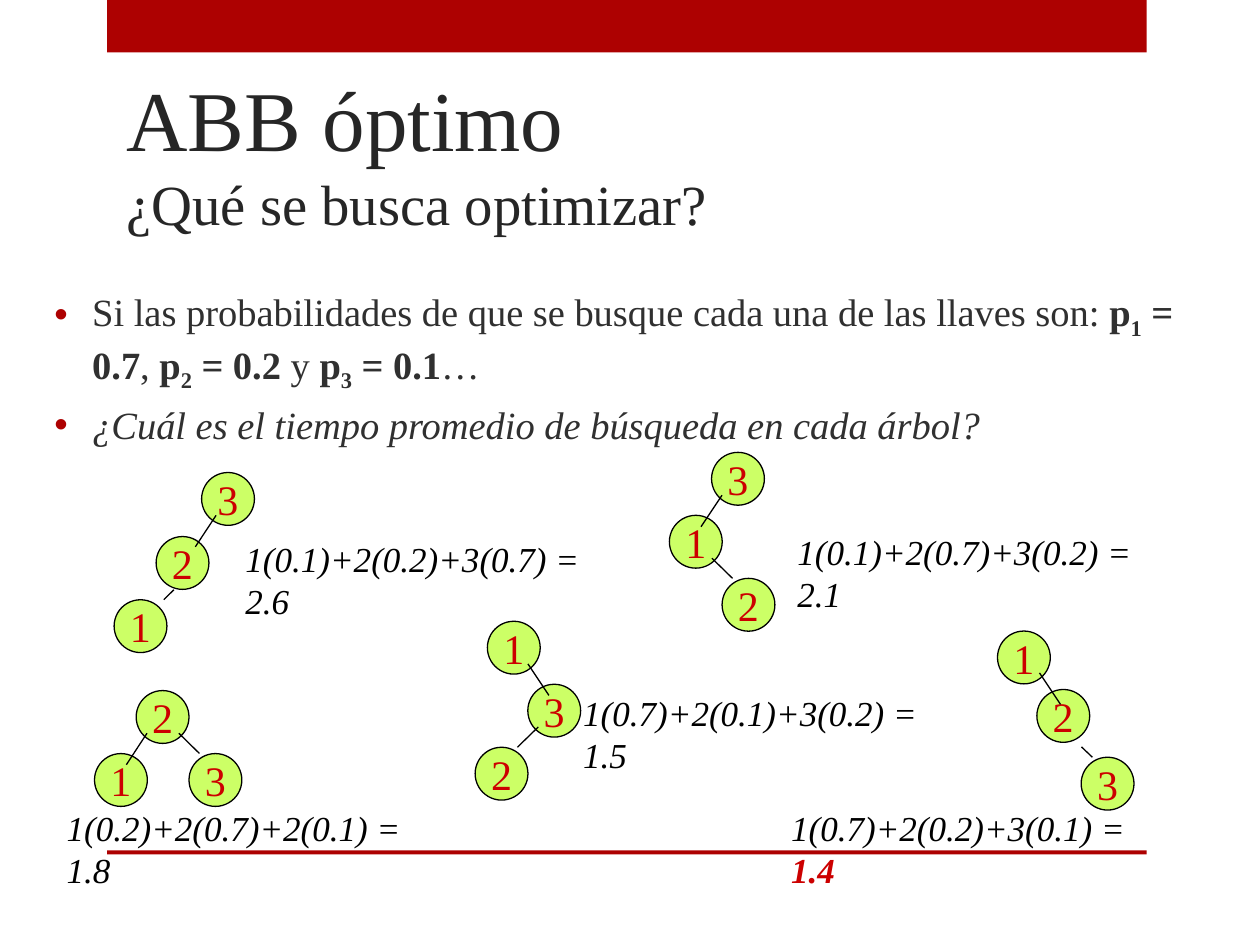
from typing import NamedTuple

from lxml import etree
from pptx import Presentation
from pptx import util as u
from pptx.dml.color import RGBColor
from pptx.enum import shapes, text
from pptx.oxml import ns
from pptx.text import text as t

Pt = u.Pt
FONT = "Times New Roman"
ACCENT = RGBColor(0xAD, 0x01, 0x01)
TITLE_COLOR = RGBColor(0x26, 0x26, 0x26)
BODY_COLOR = RGBColor(0x30, 0x30, 0x30)
NODE_FILL = RGBColor(0xCC, 0xFF, 0x66)
RED = RGBColor(0xCC, 0x00, 0x00)
BLACK = RGBColor(0, 0, 0)
NODE_SIZE = 30.2


class Node(NamedTuple):
    key: str
    left: float
    top: float


class Edge(NamedTuple):
    x1: float
    y1: float
    x2: float
    y2: float


class Tree(NamedTuple):
    nodes: tuple[Node, ...]
    edges: tuple[Edge, ...]
    cost: str
    average: str
    cost_left: float
    cost_top: float
    is_best: bool = False


class Span(NamedTuple):
    words: str
    bold: bool = False
    italic: bool = False
    subscript: bool = False


TREES = (
    Tree((Node("3", 115.2, 270), Node("2", 89.2, 306.6), Node("1", 65.2, 342.7)),
         (Edge(123.5, 294.5, 111.6, 312.5), Edge(99.4, 337, 93.6, 342.7)),
         "1(0.1)+2(0.2)+3(0.7) = ", "2.6", 133.2, 303.8),
    Tree((Node("3", 406.6, 258.5), Node("1", 382.5, 294.5), Node("2", 412.6, 330.5)),
         (Edge(412.6, 283, 400.6, 301), Edge(406.8, 319, 418.6, 330.5)),
         "1(0.1)+2(0.7)+3(0.2) = ", "2.1", 448.6, 299.5),
    Tree((Node("2", 77.8, 394.6), Node("1", 54, 430.6), Node("3", 108, 430.6)),
         (Edge(84, 419, 72.2, 437), Edge(102.2, 419, 114, 430.6)),
         "1(0.2)+2(0.7)+2(0.1) = ", "1.8", 31, 457.2),
    Tree((Node("1", 278.5, 355), Node("3", 301.6, 391), Node("2", 271.5, 427)),
         (Edge(301.7, 379.4, 313.7, 397.4), Edge(307.6, 415.4, 295.7, 427)),
         "1(0.7)+2(0.1)+3(0.2) = ", "1.5", 326.2, 391.7),
    Tree((Node("1", 570, 360.6), Node("2", 592.5, 394), Node("3", 617.8, 432.7)),
         (Edge(594, 384.5, 606, 402.5), Edge(618, 426.8, 624.2, 432.7)),
         "1(0.7)+2(0.2)+3(0.1) = ", "1.4", 445, 457.2, True),
)

BULLETS = (
    (Span("Si las probabilidades de que se busque cada una de las llaves son: "),
     Span("p", True), Span("1", True, subscript=True), Span(" = 0.7", True), Span(", "),
     Span("p", True), Span("2", True, subscript=True), Span(" = 0.2", True), Span(" y "),
     Span("p", True), Span("3", True, subscript=True), Span(" = 0.1", True), Span("…")),
    (Span("¿Cuál es el tiempo promedio de búsqueda en cada árbol?", italic=True),),
)


def style_font(font: t.Font, size: float, color: RGBColor,
               bold: bool = False, italic: bool = False) -> None:
    font.name = FONT
    font.size = Pt(size)
    font.color.rgb = color
    font.bold = bold
    font.italic = italic


def add_text_frame(slide, left: float, top: float, width: float, height: float,
                   anchor=text.MSO_ANCHOR.TOP) -> t.TextFrame:
    shape = slide.shapes.add_textbox(Pt(left), Pt(top), Pt(width), Pt(height))
    frame = shape.text_frame
    frame.word_wrap = True
    frame.vertical_anchor = anchor
    return frame


def add_bar(slide, top: float, height: float) -> None:
    shape = slide.shapes.add_shape(shapes.MSO_SHAPE.RECTANGLE,
                                   Pt(61.2), Pt(top), Pt(594), Pt(height))
    shape.shadow.inherit = False
    shape.fill.solid()
    shape.fill.fore_color.rgb = ACCENT
    shape.line.fill.background()


def add_title(slide) -> None:
    frame = add_text_frame(slide, 65.2, 49, 553, 90, text.MSO_ANCHOR.BOTTOM)
    frame.text = "ABB óptimo\v¿Qué se busca optimizar?"
    for run, size in zip(frame.paragraphs[0].runs, (48.6, 32.4)):
        style_font(run.font, size, TITLE_COLOR)


def add_bullet(paragraph) -> None:
    properties = paragraph._p.get_or_add_pPr()
    properties.set("marL", str(Pt(21.6)))
    properties.set("indent", str(Pt(-21.6)))
    color = etree.SubElement(properties, ns.qn("a:buClr"))
    etree.SubElement(color, ns.qn("a:srgbClr"), val=str(ACCENT))
    etree.SubElement(properties, ns.qn("a:buFont"), typeface="Arial")
    etree.SubElement(properties, ns.qn("a:buChar"), char="•")


def add_body(slide) -> None:
    frame = add_text_frame(slide, 24, 156.2, 666, 108, text.MSO_ANCHOR.MIDDLE)
    for index, spans in enumerate(BULLETS):
        paragraph = frame.add_paragraph() if index else frame.paragraphs[0]
        add_bullet(paragraph)
        if index:
            paragraph.space_before = Pt(4.4)
        for span in spans:
            run = paragraph.add_run()
            run.text = span.words
            style_font(run.font, 22, BODY_COLOR, span.bold, span.italic)
            if span.subscript:
                run._r.get_or_add_rPr().set("baseline", "-25000")


def add_node(group, node: Node) -> None:
    shape = group.shapes.add_shape(shapes.MSO_SHAPE.OVAL, Pt(node.left), Pt(node.top),
                                   Pt(NODE_SIZE), Pt(NODE_SIZE))
    shape.shadow.inherit = False
    shape.fill.solid()
    shape.fill.fore_color.rgb = NODE_FILL
    shape.line.color.rgb = BLACK
    shape.line.width = Pt(0.75)
    frame = shape.text_frame
    frame.word_wrap = False
    frame.vertical_anchor = text.MSO_ANCHOR.MIDDLE
    frame.text = node.key
    paragraph = frame.paragraphs[0]
    paragraph.alignment = text.PP_ALIGN.CENTER
    style_font(paragraph.runs[0].font, 24, RED)


def add_edge(group, edge: Edge) -> None:
    connector = group.shapes.add_connector(shapes.MSO_CONNECTOR.STRAIGHT,
                                           *(Pt(value) for value in edge))
    connector.line.color.rgb = BLACK
    connector.line.width = Pt(0.75)
    etree.SubElement(connector._element.spPr, ns.qn("a:effectLst"))


def add_tree(slide, tree: Tree) -> None:
    group = slide.shapes.add_group_shape()
    for node in tree.nodes:
        add_node(group, node)
    for edge in tree.edges:
        add_edge(group, edge)
    frame = add_text_frame(slide, tree.cost_left, tree.cost_top, 216, 31)
    paragraph = frame.paragraphs[0]
    for words, is_highlighted in ((tree.cost, False), (tree.average, tree.is_best)):
        run = paragraph.add_run()
        run.text = words
        style_font(run.font, 20, RED if is_highlighted else BLACK, is_highlighted, True)


def main() -> None:
    presentation = Presentation()
    presentation.slide_width = Pt(720)
    presentation.slide_height = Pt(540)
    slide = presentation.slides.add_slide(presentation.slide_layouts[6])
    add_bar(slide, 0, 30)
    add_bar(slide, 486, 2.2)
    add_title(slide)
    add_body(slide)
    for tree in TREES:
        add_tree(slide, tree)
    presentation.save("out.pptx")


if __name__ == "__main__":
    main()
